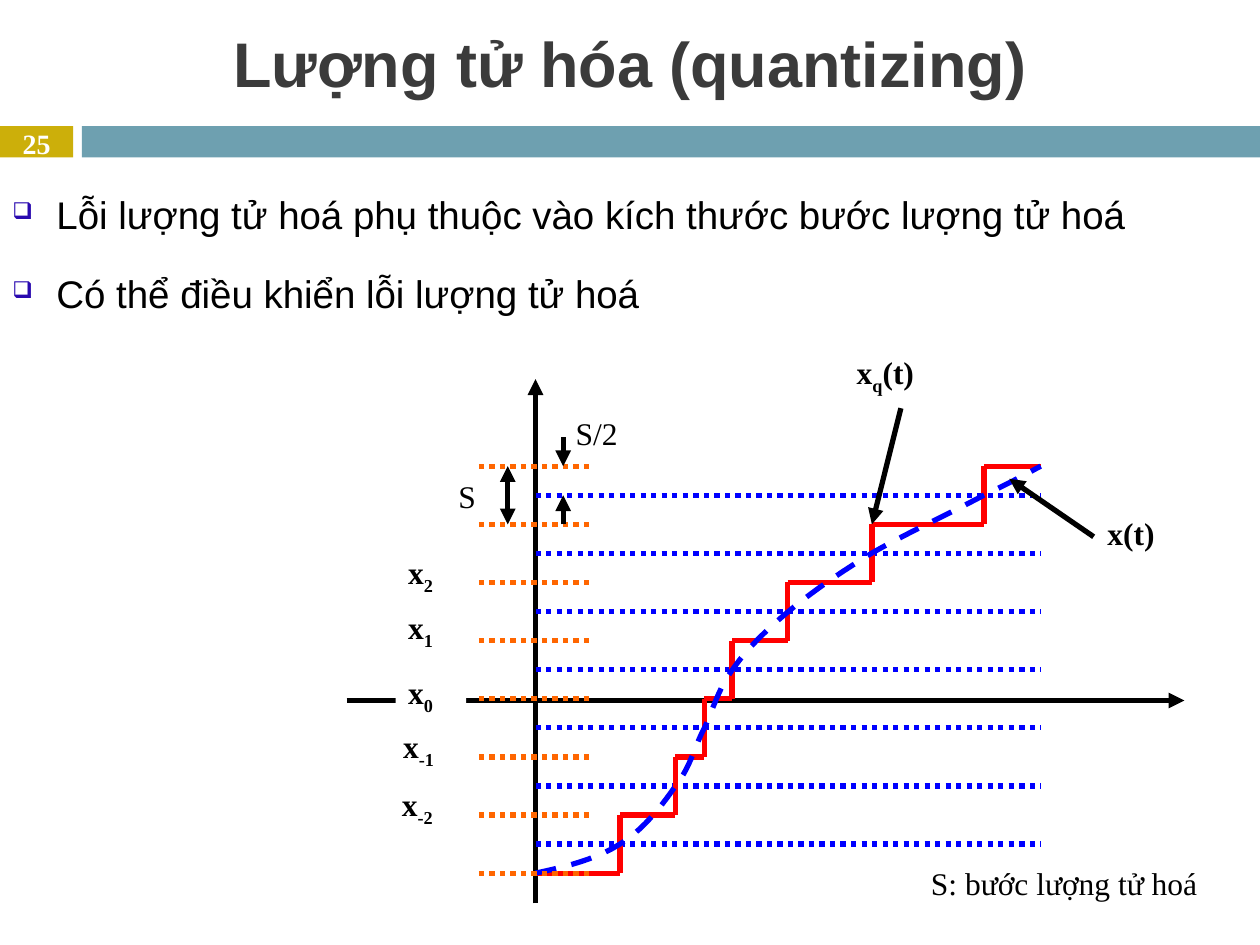
from itertools import pairwise

from lxml.etree import SubElement
from pptx import Presentation
from pptx.dml.color import RGBColor
from pptx.enum.dml import MSO_LINE_DASH_STYLE as Dash
from pptx.enum.shapes import MSO_CONNECTOR as Connector, MSO_SHAPE as Shape
from pptx.enum.text import MSO_ANCHOR as Anchor, PP_ALIGN as Align
from pptx.oxml.ns import qn
from pptx.util import Inches, Pt

BLACK = RGBColor(0, 0, 0)
WHITE = RGBColor(0xFF, 0xFF, 0xFF)
GOLD = RGBColor(0xCC, 0xAF, 0x0A)
TEAL = RGBColor(0x6E, 0xA0, 0xB0)
TITLE_GRAY = RGBColor(0x3B, 0x3B, 0x3B)
ORANGE = RGBColor(0xFF, 0x66, 0x00)
BLUE = RGBColor(0, 0, 0xFF)
RED = RGBColor(0xFF, 0, 0)
BULLET_COLOR = "2909AF"

PLOT_LEFT, PLOT_RIGHT = 4.25, 8.26
PLOT_TOP, PLOT_BOTTOM = 3.7, 6.93
LEVEL_COUNT = 8
STEP = (PLOT_BOTTOM - PLOT_TOP) / (LEVEL_COUNT - 1)
LEVELS = [PLOT_TOP + STEP * index for index in range(LEVEL_COUNT)]
RISERS = [4.92, 5.36, 5.59, 5.81, 6.25, 6.92, 7.81]
SAMPLES = 10

BULLETS = [
    "Lỗi lượng tử hoá phụ thuộc vào kích thước bước lượng tử hoá",
    "Có thể điều khiển lỗi lượng tử hoá",
]
SIGNAL_START = (4.25, 6.93)
SIGNAL_CURVES = [
    ((4.49, 6.88), (4.73, 6.82), (4.92, 6.7)),
    ((5.1, 6.59), (5.25, 6.4), (5.36, 6.24)),
    ((5.48, 6.09), (5.51, 5.93), (5.59, 5.78)),
    ((5.66, 5.63), (5.7, 5.47), (5.81, 5.32)),
    ((5.92, 5.16), (6.07, 5.01), (6.25, 4.86)),
    ((6.44, 4.7), (6.66, 4.55), (6.92, 4.39)),
    ((7.18, 4.24), (7.59, 4.05), (7.81, 3.93)),
    ((8.04, 3.82), (8.15, 3.76), (8.26, 3.7)),
]
LEVEL_LABELS = [
    ("2", 3.14, 4.34, 0.67),
    ("1", 3.14, 4.78, 0.67),
    ("-1", 3.1, 5.72, 0.89),
    ("-2", 3.09, 6.18, 0.82),
]


def add_text(slide, box, text, size=18, font="Times New Roman", color=BLACK,
             bold=False, subscript="", ending="", align=Align.LEFT,
             anchor=Anchor.TOP, inset=(0.1, 0.05), fill=None):
    shape = slide.shapes.add_textbox(*map(Inches, box))
    if fill is not None:
        shape.fill.solid()
        shape.fill.fore_color.rgb = fill
    frame = shape.text_frame
    frame.word_wrap = True
    frame.vertical_anchor = anchor
    frame.margin_left = frame.margin_right = Inches(inset[0])
    frame.margin_top = frame.margin_bottom = Inches(inset[1])
    paragraph = frame.paragraphs[0]
    paragraph.alignment = align
    for part in filter(None, (text, subscript, ending)):
        run = paragraph.add_run()
        run.text = part
        run.font.size = Pt(size)
        run.font.name = font
        run.font.bold = bold
        run.font.color.rgb = color
        if part == subscript:
            run.font._element.set("baseline", "-25000")
    return shape


def add_bullets(slide, box, items):
    frame = slide.shapes.add_textbox(*map(Inches, box)).text_frame
    frame.word_wrap = True
    for index, item in enumerate(items):
        paragraph = frame.add_paragraph() if index else frame.paragraphs[0]
        paragraph.text = item
        paragraph.line_spacing = 1.5
        if index:
            paragraph.space_before = Pt(6)
        properties = paragraph._p.get_or_add_pPr()
        properties.set("marL", str(Inches(0.35)))
        properties.set("indent", str(Inches(-0.35)))
        bullet_color = SubElement(properties, qn("a:buClr"))
        SubElement(bullet_color, qn("a:srgbClr"), val=BULLET_COLOR)
        SubElement(properties, qn("a:buSzPct"), val="60000")
        SubElement(properties, qn("a:buChar"), char="❑")
        paragraph.font.size = Pt(22)
        paragraph.font.name = "Arial"
        paragraph.font.color.rgb = BLACK


def add_bar(slide, box, color):
    shape = slide.shapes.add_shape(Shape.RECTANGLE, *map(Inches, box))
    shape.shadow.inherit = False
    shape.fill.solid()
    shape.fill.fore_color.rgb = color
    shape.line.fill.background()


def style_line(line, color, dash=None):
    line.color.rgb = color
    line.width = Pt(3)
    if dash is not None:
        line.dash_style = dash


def add_line(slide, start, end, color=BLACK, dash=None, arrows=()):
    connector = slide.shapes.add_connector(
        Connector.STRAIGHT, *map(Inches, (*start, *end)))
    style_line(connector.line, color, dash)
    for arrow in arrows:
        SubElement(connector.line._get_or_add_ln(), qn(f"a:{arrow}"),
                   type="triangle")
    SubElement(connector._element.spPr, qn("a:effectLst"))


def curve_points(start, curves):
    points = [start]
    for first, second, end in curves:
        origin = points[-1]
        for index in range(1, SAMPLES + 1):
            t = index / SAMPLES
            weights = ((1 - t) ** 3, 3 * t * (1 - t) ** 2,
                       3 * t ** 2 * (1 - t), t ** 3)
            corners = (origin, first, second, end)
            points.append(tuple(
                sum(weight * corner[axis]
                    for weight, corner in zip(weights, corners))
                for axis in (0, 1)))
    return points


def add_signal(slide):
    points = [(Inches(x), Inches(y))
              for x, y in curve_points(SIGNAL_START, SIGNAL_CURVES)]
    builder = slide.shapes.build_freeform(*points[0])
    builder.add_line_segments(points[1:], close=False)
    shape = builder.convert_to_shape()
    shape.shadow.inherit = False
    shape.fill.background()
    style_line(shape.line, BLUE, Dash.DASH)


def add_staircase(slide):
    edges = [PLOT_LEFT, *RISERS, PLOT_RIGHT]
    rising = LEVELS[::-1]
    for level, (left, right) in zip(rising, pairwise(edges)):
        add_line(slide, (left, level), (right, level), RED)
    for x, (lower, upper) in zip(RISERS, pairwise(rising)):
        add_line(slide, (x, upper), (x, lower), RED)


def add_plot(slide):
    add_line(slide, (2.75, 5.56), (9.4, 5.56), arrows=["tailEnd"])
    add_line(slide, (PLOT_LEFT, 7.17), (PLOT_LEFT, 3.01), arrows=["tailEnd"])
    for level in LEVELS[:-1]:
        middle = level + STEP / 2
        add_line(slide, (PLOT_LEFT, middle), (PLOT_RIGHT, middle), BLUE,
                 Dash.ROUND_DOT)
    add_staircase(slide)
    add_signal(slide)
    for level in LEVELS:
        add_line(slide, (3.8, level), (4.69, level), ORANGE, Dash.ROUND_DOT)


def add_annotations(slide):
    top, second = LEVELS[:2]
    middle = top + STEP / 2
    add_line(slide, (8.68, 4.26), (8.01, 3.8), arrows=["tailEnd"])
    add_line(slide, (7.15, 3.24), (6.92, second), arrows=["tailEnd"])
    add_line(slide, (4.03, top), (4.03, second), arrows=["headEnd", "tailEnd"])
    add_line(slide, (4.47, top - STEP / 2), (4.47, top), arrows=["tailEnd"])
    add_line(slide, (4.47, second), (4.47, middle), arrows=["tailEnd"])
    for subscript, left, label_top, width in LEVEL_LABELS:
        add_text(slide, (left, label_top, width, 0.46), "x", bold=True,
                 subscript=subscript)
    add_text(slide, (3.14, 5.29, 0.56, 0.46), "x", bold=True, subscript="0",
             fill=WHITE)
    add_text(slide, (6.7, 2.75, 0.89, 0.69), "x", bold=True, subscript="q",
             ending="(t)")
    add_text(slide, (8.69, 4.03, 0.89, 0.69), "x(t)", bold=True)
    add_text(slide, (4.47, 3.24, 0.89, 0.46), "S/2")
    add_text(slide, (3.54, 3.74, 1.89, 0.69), "S")
    add_text(slide, (7.29, 6.81, 2.62, 0.69), "S: bước lượng tử hoá")


def main():
    presentation = Presentation()
    presentation.slide_width = Inches(10)
    presentation.slide_height = Inches(7.5)
    slide = presentation.slides.add_slide(presentation.slide_layouts[6])
    add_bar(slide, (0, 1, 0.58, 0.25), GOLD)
    add_bar(slide, (0.65, 1, 9.35, 0.25), TEAL)
    add_text(slide, (0, 0.08, 10, 0.83), "Lượng tử hóa (quantizing)", size=36,
             font="Arial", color=TITLE_GRAY, bold=True, align=Align.CENTER,
             anchor=Anchor.MIDDLE)
    add_text(slide, (0, 1, 0.58, 0.27), "25", size=16, color=WHITE, bold=True,
             align=Align.CENTER, anchor=Anchor.MIDDLE, inset=(0, 0))
    add_bullets(slide, (0, 1.28, 10, 1.55), BULLETS)
    add_plot(slide)
    add_annotations(slide)
    presentation.save("out.pptx")


if __name__ == "__main__":
    main()
